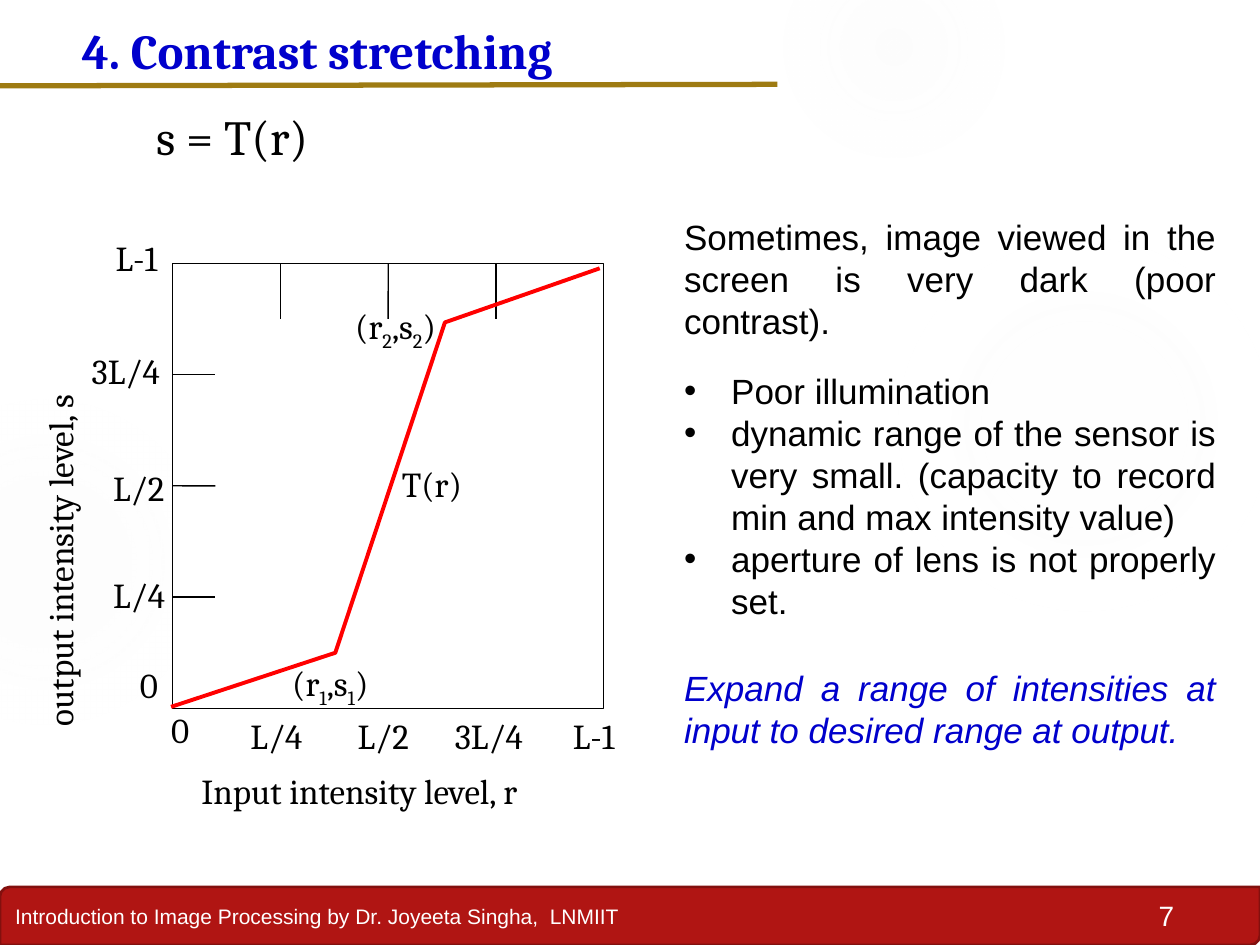
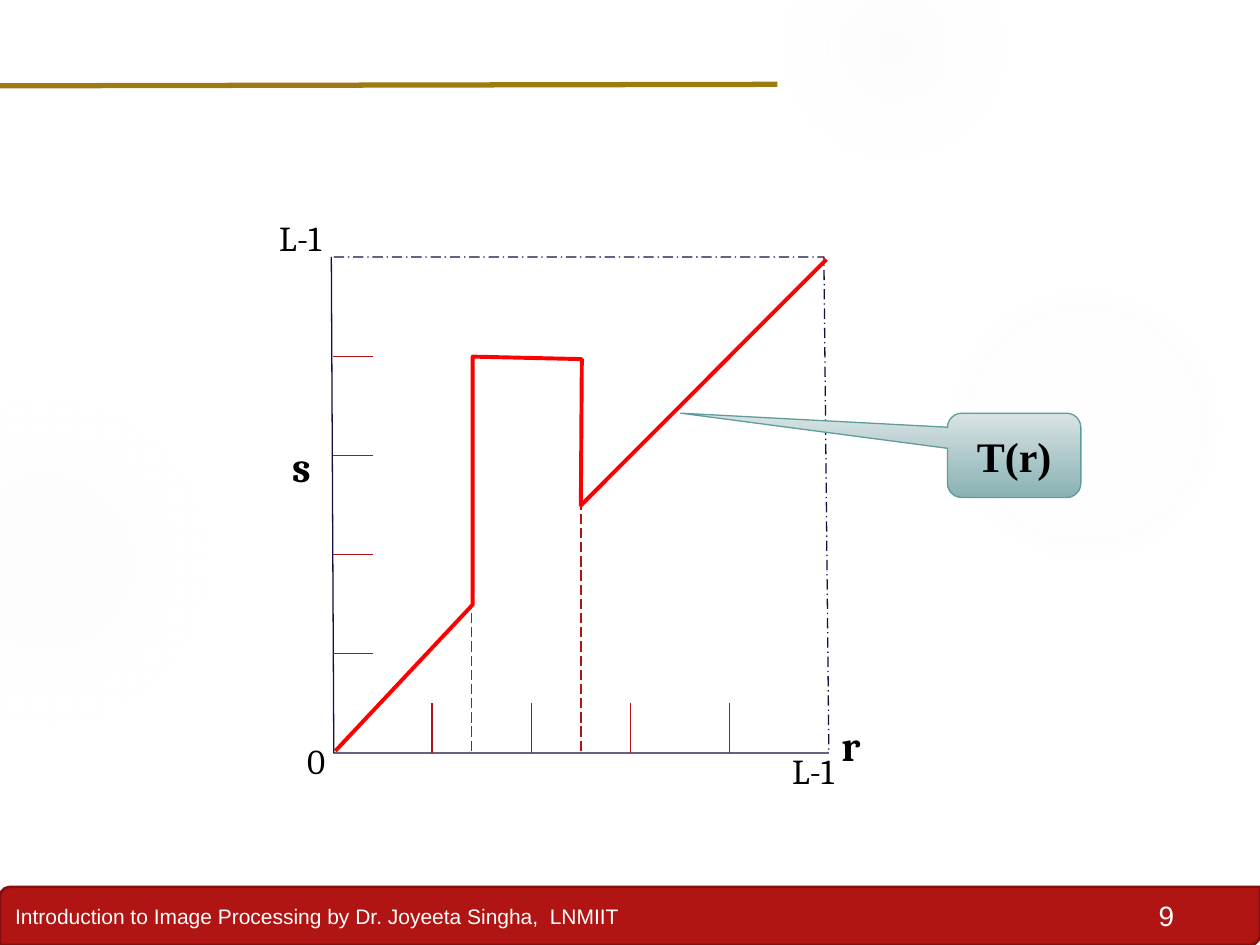
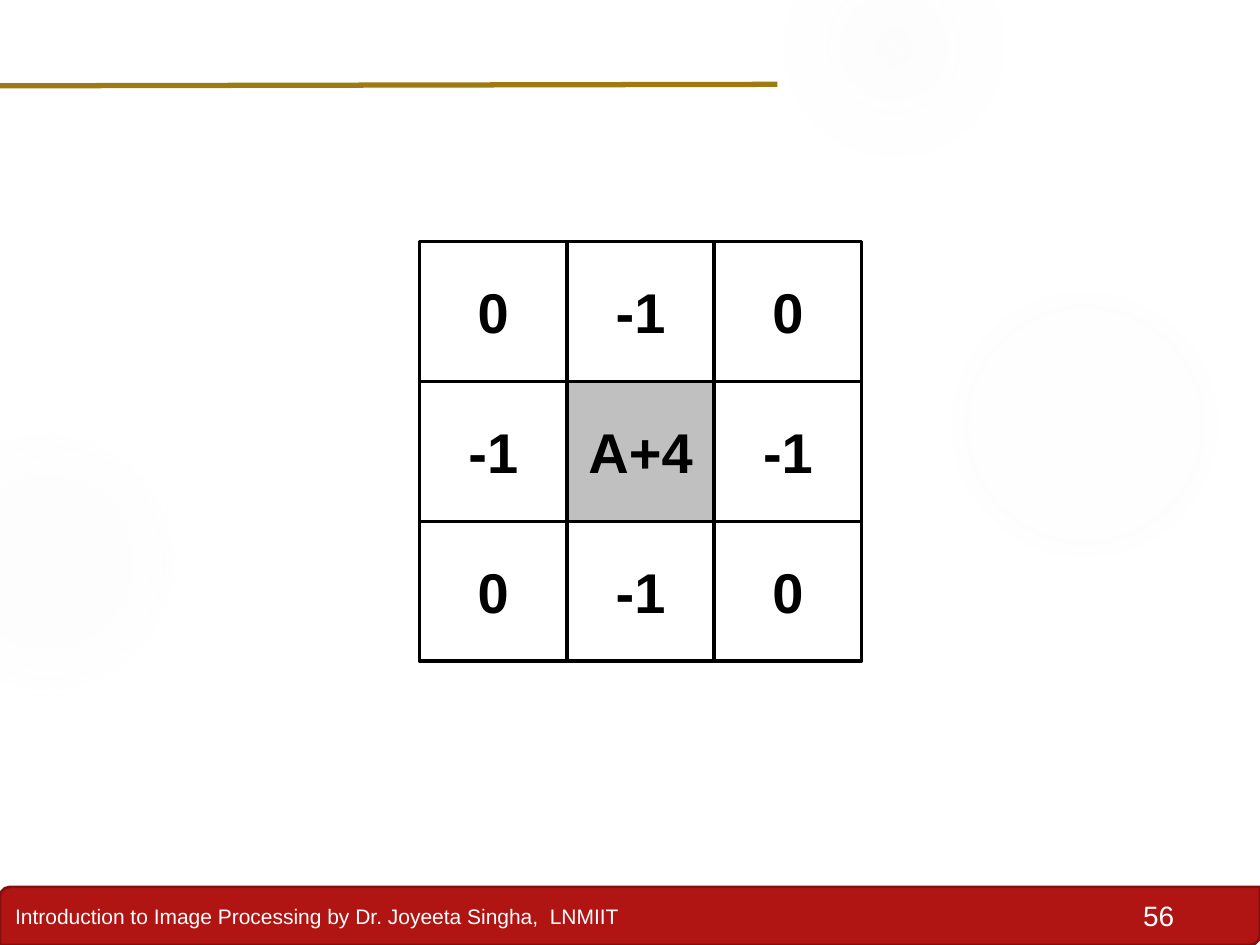
from lxml import etree
from pptx import Presentation
from pptx.dml.color import RGBColor
from pptx.enum.dml import MSO_LINE
from pptx.enum.shapes import MSO_CONNECTOR, MSO_SHAPE
from pptx.enum.text import MSO_ANCHOR, MSO_AUTO_SIZE, PP_ALIGN
from pptx.oxml import parse_xml
from pptx.oxml.ns import nsdecls, qn
from pptx.util import Cm, Pt

STRAIGHT = MSO_CONNECTOR.STRAIGHT
RECT, OVAL = MSO_SHAPE.RECTANGLE, MSO_SHAPE.OVAL
BAND, CALL = MSO_SHAPE.ROUND_2_DIAG_RECTANGLE, MSO_SHAPE.ROUNDED_RECTANGULAR_CALLOUT
DASH, DASHDOT = MSO_LINE.LONG_DASH, MSO_LINE.LONG_DASH_DOT
LEFT, MID, RIGHT, JUST = PP_ALIGN.LEFT, PP_ALIGN.CENTER, PP_ALIGN.RIGHT, PP_ALIGN.JUSTIFY
MIDDLE, GROW = MSO_ANCHOR.MIDDLE, MSO_AUTO_SIZE.SHAPE_TO_FIT_TEXT

BLACK, WHITE, BLUE, RED = "000000", "FFFFFF", "0000CC", "FF0000"
BRICK, DARK, GOLD, NAVY = "B01513", "82100E", "9E7B12", "101141"
GREY, PALE, TEAL, SEA, MIST = "C0C0C0", "F3F3F3", "5F9C9D", "89B2B3", "D8E3E4"

# Text styles: font attributes
HEAD = {"name": "Cambria", "size": Pt(28), "bold": True}
RULE = {"name": "Cambria", "size": Pt(28)}
LABEL = {"name": "Cambria", "size": Pt(20)}
AXIS = {"name": "Cambria", "size": Pt(24), "bold": True}
BODY = {"name": "Arial", "size": Pt(20)}
NOTE = {"name": "Arial", "size": Pt(20), "italic": True}
FOOT = {"name": "Arial", "size": Pt(12)}
PAGE = {"name": "Arial", "size": Pt(16)}
CELL = {"name": "Arial", "size": Pt(32), "bold": True}
TAG = {"name": "Times New Roman", "size": Pt(24), "bold": True}


def rgb(code):
    return RGBColor.from_string(code)


def cms(values):
    return [Cm(v) for v in values]


def write(par, text, style, color=BLACK, align=LEFT):
    """Fill a paragraph; every second piece between bars is a subscript."""
    par.alignment = align
    for i, piece in enumerate(text.split("|")):
        run = par.add_run()
        run.text = piece
        for key, value in style.items():
            setattr(run.font, key, value)
        run.font.color.rgb = rgb(color)
        if i % 2:
            run._r.get_or_add_rPr().set("baseline", "-25000")


def put(slide, box, text, style, color=BLACK, align=LEFT, wrap=True):
    shape = slide.shapes.add_textbox(*cms(box))
    frame = shape.text_frame
    frame.word_wrap, frame.auto_size = wrap, GROW
    write(frame.paragraphs[0], text, style, color, align)
    return shape


def label(slide, x, y, w, text, style=LABEL):
    return put(slide, (x, y, w, 1.24), text, style, align=JUST, wrap=False)


def pen(shape, color, width, dash=None):
    shape.line.color.rgb = rgb(color)
    shape.line.width = Pt(width)
    if dash:
        shape.line.dash_style = dash


def line(slide, ends, color, width=0.75, dash=None):
    link = slide.shapes.add_connector(STRAIGHT, *cms(ends))
    pen(link, color, width, dash)
    etree.SubElement(link._element.spPr, qn("a:effectLst"))
    return link


def block(slide, kind, box, fill=None, color=None, width=0.75):
    shape = slide.shapes.add_shape(kind, *cms(box))
    shape.shadow.inherit = False
    if fill:
        shape.fill.solid()
        shape.fill.fore_color.rgb = rgb(fill)
    if color:
        pen(shape, color, width)
    else:
        shape.line.fill.background()
    return shape


def trace(slide, x, y, points, color, width=0.75, dash=None):
    """Open outline through points measured from (x, y)."""
    first, *rest = [(Cm(x + dx), Cm(y + dy)) for dx, dy in points]
    path = slide.shapes.build_freeform(*first)
    path.add_line_segments(rest, close=False)
    shape = path.convert_to_shape()
    shape.shadow.inherit = False
    shape.fill.background()
    pen(shape, color, width, dash)


def glow(slide, x, y, size, stops):
    """Faint round spot that fades out from its centre."""
    shape = block(slide, OVAL, (x, y, size, size), PALE)
    marks = "".join(
        f'<a:gs pos="{pos * 1000}"><a:srgbClr val="{PALE}">'
        f'<a:alpha val="{alpha * 1000}"/></a:srgbClr></a:gs>'
        for pos, alpha in stops)
    grad = parse_xml(
        f'<a:gradFill {nsdecls("a")}><a:gsLst>{marks}</a:gsLst><a:path path="circle">'
        '<a:fillToRect l="50000" t="50000" r="50000" b="50000"/></a:path></a:gradFill>')
    props = shape._element.spPr
    props.replace(props.find(qn("a:solidFill")), grad)


def base(deck, number):
    """New slide with footer band, spots, page number and title rule."""
    slide = deck.slides.add_slide(deck.slide_layouts[6])
    band = block(slide, BAND, (0, 17.88, 25.4, 1.17), BRICK, DARK, 1.5)
    band.text_frame.vertical_anchor = MIDDLE
    write(band.text_frame.paragraphs[0],
          "Introduction to Image Processing by Dr. Joyeeta Singha,  LNMIIT", FOOT, WHITE)
    glow(slide, 17.96, 4.65, 7.82, [(0, 7), (36, 6), (69, 0)])
    glow(slide, 15.8, -1.27, 4.44, [(0, 14), (36, 7), (73, 0)])
    glow(slide, -2.34, 8.05, 6.55, [(0, 8), (36, 8), (72, 0)])
    put(slide, (22.02, 17.98, 1.9, 0.94), number, PAGE, WHITE, RIGHT)
    line(slide, (-0.05, 1.73, 15.67, 1.7), GOLD, 3)
    return slide


def stretch(slide, x, y, w, h):
    """Contrast stretching curve with ticks and labels."""
    frame = block(slide, RECT, (x, y, w, h), WHITE, BLACK)
    for i in (1, 2, 3):
        down, across = y + h * i / 4, x + w * i / 4
        side = line(slide, (x, down, x + 0.86, down), BLACK)
        top = line(slide, (across, y, across, y + 1.12), BLACK)
        if i == 2:
            side.begin_connect(frame, 1)
            top.begin_connect(frame, 0)

    # Scale labels: text, width, place beside the box, place below it
    scale = [("0", 1, (-0.91, 7.95), (-0.28, 8.84)),
             ("L/4", 1.63, (-1.45, 6.12), (1.32, 8.96)),
             ("L/2", 1.63, (-1.45, 3.96), (3.48, 8.96)),
             ("3L/4", 2.06, (-1.88, 1.62), (5.44, 8.96)),
             ("L-1", 1.68, (-1.4, -0.66), (7.82, 8.96))]
    for text, wide, *spots in scale:
        for dx, dy in spots:
            label(slide, x + dx, y + dy, wide, text)

    # Axis titles
    put(slide, (x + 0.33, y + 10.08, 8.23, 1.24), "Input intensity level, r", LABEL)
    upright = put(slide, (x - 6.78, y + 4.44, 9.09, 1.19), "output intensity level, s", LABEL)
    upright.rotation = 270

    # Curve and its points
    trace(slide, x, y, [(-0.03, 8.94), (3.28, 7.85), (5.49, 1.19), (8.61, 0.1)], RED, 2.25)
    label(slide, x + 2.16, y + 7.9, 2.49, "(r|1|,s|1|)")
    label(slide, x + 3.43, y + 0.71, 2.49, "(r|2|,s|2|)")
    label(slide, x + 4.37, y + 3.88, 1.8, "T(r)")


def reasons(slide, x, y, w, h):
    """Lead sentence with bulleted causes."""
    frame = put(slide, (x, y, w, h),
                "Sometimes, image viewed in the screen is very dark (poor contrast).",
                BODY, align=JUST).text_frame
    frame.paragraphs[0].space_after = Pt(16)
    for text in ("Poor illumination",
                 "dynamic range of the sensor is very small. "
                 "(capacity to record min and max intensity value)",
                 "aperture of lens is not properly set."):
        par = frame.add_paragraph()
        write(par, text, BODY, align=JUST)
        props = par._p.get_or_add_pPr()
        props.set("marL", str(Cm(0.95)))
        props.set("indent", str(-Cm(0.95)))
        etree.SubElement(props, qn("a:buFont")).set("typeface", "Arial")
        etree.SubElement(props, qn("a:buChar")).set("char", "•")


def slicing(slide, x, y, size):
    """Level slicing curve in a square with fifth marks."""
    trace(slide, x, y, [(-0.03, 0), (0.02, size), (size, size)], NAVY)
    trace(slide, x, y, [(0.02, 0), (size - 0.1, 0), (size, size)], NAVY, dash=DASHDOT)
    end = y + size
    for i in range(1, 5):
        step = size * i / 5
        line(slide, (x, y + step, x + 0.81, y + step), BRICK)
        line(slide, (x + step, end - 1, x + step, end), BRICK)

    # Labels
    label(slide, x - 0.77, end - 0.4, 0.91, "0")
    label(slide, x + 9.01, end - 0.19, 1.55, "L-1")
    label(slide, x - 1.33, y - 0.94, 1.55, "L-1")
    label(slide, x + 10, end - 0.8, 0.84, "r", AXIS)
    label(slide, x - 1.07, y + 3.58, 0.99, "s", AXIS)

    # Range limits and curve
    for dx in (2.79, 5):
        line(slide, (x + dx, y + 2.03, x + dx, end), BRICK, dash=DASH)
    trace(slide, x, y, [(0.05, 9.96), (2.82, 7.01), (2.82, 2.01),
                        (5.02, 2.06), (5, 5.01), (9.95, 0.05)], RED, 2.25)


def callout(slide, box, text):
    shape = block(slide, CALL, box, color=TEAL)
    for i, value in enumerate((-2.5, -0.5, 0.17)):
        shape.adjustments[i] = value
    shape.fill.gradient()
    shape.fill.gradient_angle = 270
    for stop, color in zip(shape.fill.gradient_stops, (MIST, SEA)):
        stop.color.rgb = rgb(color)
    shape.text_frame.vertical_anchor = MIDDLE
    write(shape.text_frame.paragraphs[0], text, TAG, align=MID)


def kernel(slide, x, y, w, h):
    """Three by three filter mask with a shaded centre."""
    rows = [("0", "-1", "0"), ("-1", "A+4", "-1"), ("0", "-1", "0")]
    wide, high = w / 3, h / 3
    for i, row in enumerate(rows):
        for j, text in enumerate(row):
            fill = GREY if i == j == 1 else WHITE
            cell = block(slide, RECT, (x + j * wide, y + i * high, wide, high), fill, BLACK, 2)
            frame = cell.text_frame
            frame.word_wrap, frame.vertical_anchor = False, MIDDLE
            write(frame.paragraphs[0], text, CELL, align=MID)


def main():
    deck = Presentation()
    deck.slide_width, deck.slide_height = Cm(25.4), Cm(19.05)

    # Contrast stretching
    slide = base(deck, "7")
    put(slide, (2.9, 2.03, 6.1, 1.45), "s = T(r)", RULE)
    put(slide, (1.4, 0.28, 13, 1.45), "4. Contrast stretching", HEAD, BLUE)
    put(slide, (13.54, 13.31, 11.23, 1.96),
        "Expand a range of intensities at input to desired range at output.",
        NOTE, BLUE, JUST)
    reasons(slide, 13.54, 4.22, 11.23, 8.56)
    stretch(slide, 3.48, 5.31, 8.69, 8.97)

    # Level slicing
    slide = base(deck, "9")
    slicing(slide, 6.71, 5.18, 10)
    callout(slide, (19.1, 8.33, 2.69, 1.7), "T(r)")

    # Filter mask
    slide = base(deck, "56")
    kernel(slide, 8.46, 4.87, 8.91, 8.46)

    deck.save("out.pptx")


if __name__ == "__main__":
    main()
